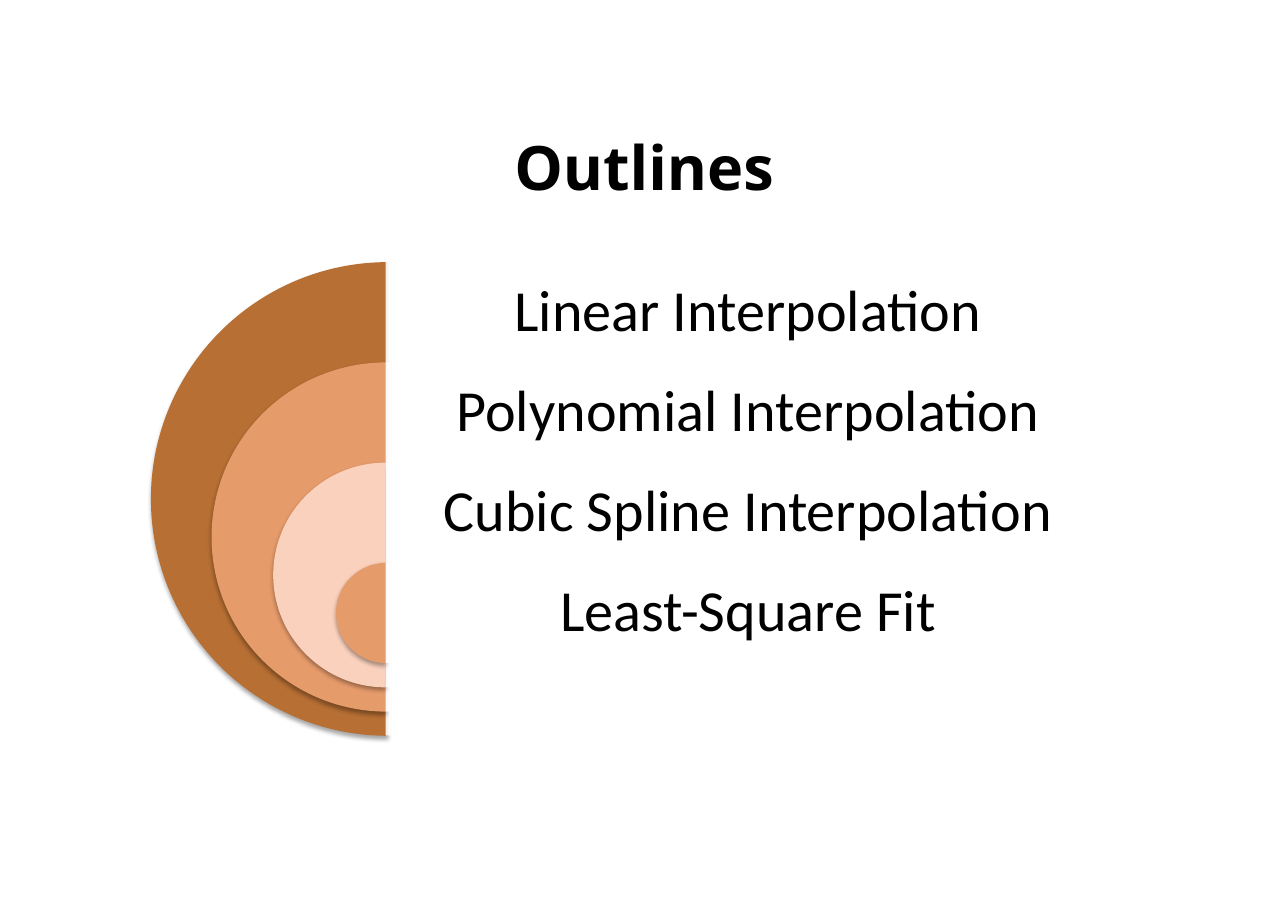
import pptx
import pptx.dml.color
import pptx.enum.shapes
import pptx.enum.text
import pptx.oxml
import pptx.oxml.ns
import pptx.util
from pptx.util import Inches

TOPICS = [
    ("Linear Interpolation", 1.37, "B76F34"),
    ("Polynomial Interpolation", 1.92, "E69B6B"),
    ("Cubic Spline Interpolation", 2.48, "FAD1BD"),
    ("Least-Square Fit", 3.05, "E69B6B"),
]
FIRST_TOP = 2.38
ROW_HEIGHT = 0.91
DIAMETER_STEP = 1.13
PANEL_LEFT = 3.5
PANEL_WIDTH = 6.58


def color(value):
    return pptx.dml.color.RGBColor.from_string(value)


def add_filled_shape(slide, kind, left, top, width, height, fill):
    shape = slide.shapes.add_shape(
        kind, Inches(left), Inches(top), Inches(width), Inches(height))
    shape.shadow.inherit = False
    shape.fill.solid()
    shape.fill.fore_color.rgb = color(fill)
    shape.line.fill.background()
    return shape


def add_shadow(shape):
    effects = shape._element.spPr.find(pptx.oxml.ns.qn("a:effectLst"))
    effects.append(pptx.oxml.parse_xml(
        f'<a:outerShdw {pptx.oxml.ns.nsdecls("a")} blurRad="39370" dist="22860" '
        'dir="5400000" rotWithShape="0"><a:srgbClr val="000000">'
        '<a:alpha val="35000"/></a:srgbClr></a:outerShdw>'))


def add_half_circle(slide, left, top, diameter, fill):
    shape = add_filled_shape(
        slide, pptx.enum.shapes.MSO_SHAPE.PIE, left, top, diameter, diameter, fill)
    shape.adjustments[0] = 54
    shape.adjustments[1] = 162
    add_shadow(shape)


def add_panel(slide, top, height):
    shape = add_filled_shape(
        slide, pptx.enum.shapes.MSO_SHAPE.RECTANGLE,
        PANEL_LEFT, top, PANEL_WIDTH, height, "FFFFFF")
    fill_color = shape._element.spPr.find(
        pptx.oxml.ns.qn("a:solidFill") + "/" + pptx.oxml.ns.qn("a:srgbClr"))
    fill_color.append(pptx.oxml.parse_xml(
        f'<a:alpha {pptx.oxml.ns.nsdecls("a")} val="90000"/>'))


def add_text(slide, text, left, top, width, height, *, font, size,
             bold=False, line_spacing=1.0, margin_x=0.16, margin_y=0.16):
    box = slide.shapes.add_textbox(
        Inches(left), Inches(top), Inches(width), Inches(height))
    frame = box.text_frame
    frame.word_wrap = True
    frame.vertical_anchor = pptx.enum.text.MSO_ANCHOR.MIDDLE
    frame.margin_left = frame.margin_right = Inches(margin_x)
    frame.margin_top = frame.margin_bottom = Inches(margin_y)
    paragraph = frame.paragraphs[0]
    paragraph.alignment = pptx.enum.text.PP_ALIGN.CENTER
    paragraph.line_spacing = line_spacing
    run = paragraph.add_run()
    run.text = text
    run.font.name = font
    run.font.size = pptx.util.Pt(size)
    run.font.bold = bold
    run.font.color.rgb = color("000000")


def add_topic(slide, index, text, left, fill):
    top = FIRST_TOP + index * ROW_HEIGHT
    diameter = ROW_HEIGHT + (len(TOPICS) - 1 - index) * DIAMETER_STEP
    add_half_circle(slide, left, top, diameter, fill)
    add_panel(slide, top, diameter)
    add_text(slide, text, PANEL_LEFT, top, PANEL_WIDTH, ROW_HEIGHT,
             font="Calibri", size=38, line_spacing=0.9)


def main():
    presentation = pptx.Presentation()
    presentation.slide_width = Inches(11.69)
    presentation.slide_height = Inches(8.27)
    slide = presentation.slides.add_slide(presentation.slide_layouts[6])
    add_text(slide, "Outlines", 1.42, 0.82, 8.85, 1.38, font="Open Sans",
             size=40, bold=True, margin_x=0.11, margin_y=0.06)
    for index, (text, left, fill) in enumerate(TOPICS):
        add_topic(slide, index, text, left, fill)
    presentation.save("out.pptx")


if __name__ == "__main__":
    main()
